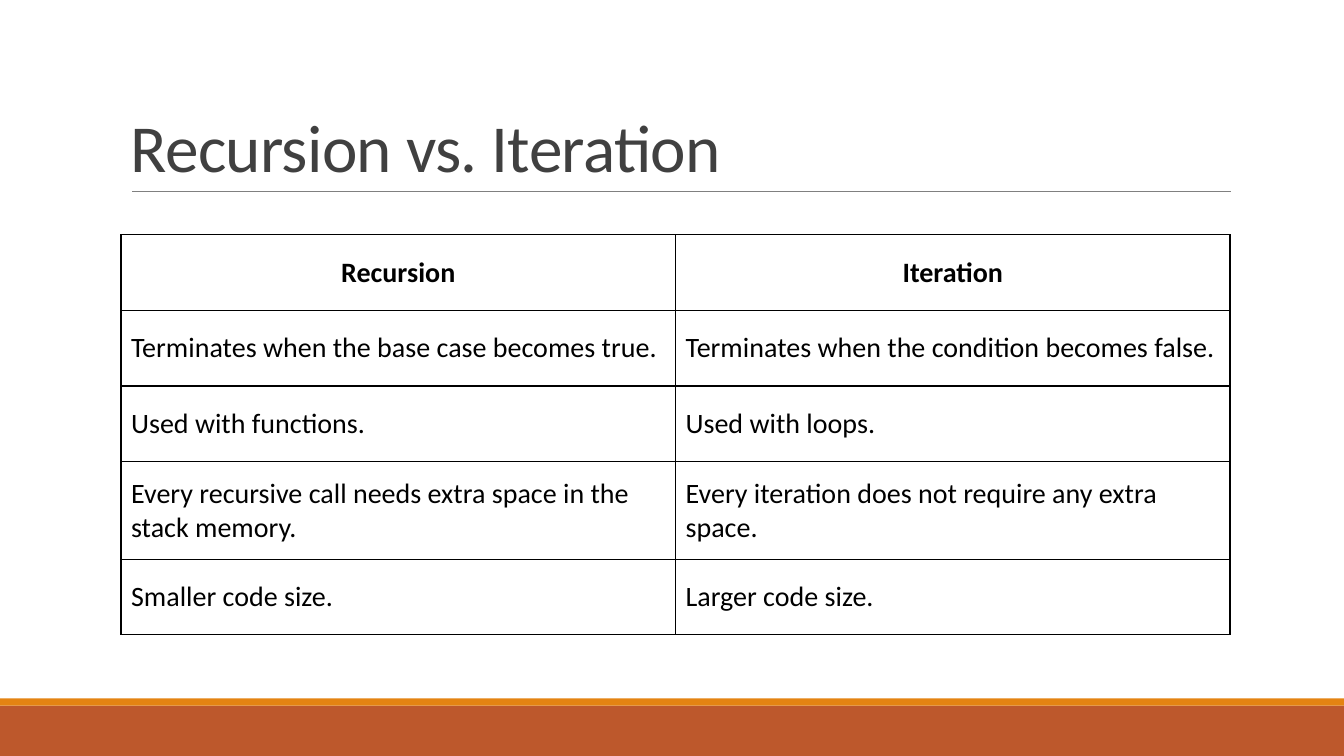
from lxml.etree import SubElement
from pptx import Presentation
from pptx.dml.color import RGBColor
from pptx.enum.shapes import MSO_CONNECTOR, MSO_SHAPE
from pptx.enum.text import MSO_ANCHOR as ANCHOR, PP_ALIGN as ALIGN
from pptx.oxml.ns import qn
from pptx.util import Inches, Pt

FONT = "Calibri"
ROWS = [
    ("Recursion", "Iteration"),
    ("Terminates when the base case becomes true.",
     "Terminates when the condition becomes false."),
    ("Used with functions.", "Used with loops."),
    ("Every recursive call needs extra space in the stack memory.",
     "Every iteration does not require any extra space."),
    ("Smaller code size.", "Larger code size."),
]
ROW_HEIGHTS = [0.75, 0.75, 0.75, 0.89, 0.75]


def rgb(color):
    return RGBColor.from_string(color)


def set_font(p, size, color, bold=False):
    p.font.name = FONT
    p.font.size = Pt(size)
    p.font.bold = bold
    p.font.color.rgb = rgb(color)


def add_band(s, top, height, color):
    sp = s.shapes.add_shape(MSO_SHAPE.RECTANGLE, 0, Inches(top),
                            Inches(13.33), Inches(height))
    sp.shadow.inherit = False
    sp.fill.solid()
    sp.fill.fore_color.rgb = rgb(color)
    sp.line.fill.background()


def add_rule(s, left, right, y, color, width):
    line = s.shapes.add_connector(MSO_CONNECTOR.STRAIGHT, Inches(left), Inches(y),
                                  Inches(right), Inches(y))
    line.line.color.rgb = rgb(color)
    line.line.width = Pt(width)
    SubElement(line._element.spPr, qn("a:effectLst"))


def add_title(s, text):
    sp = s.shapes.add_textbox(Inches(1.2), Inches(0.31), Inches(11), Inches(1.59))
    tf = sp.text_frame
    tf.word_wrap = True
    tf.vertical_anchor = ANCHOR.BOTTOM
    p = tf.paragraphs[0]
    p.line_spacing = 0.85
    r = p.add_run()
    r.text = text
    set_font(p, 48, "404040")
    r._r.get_or_add_rPr().set("spc", "-50")


def set_borders(cell, color, width):
    tcPr = cell._tc.get_or_add_tcPr()
    for side in ("lnL", "lnR", "lnT", "lnB"):
        ln = SubElement(tcPr, qn(f"a:{side}"), w=str(Pt(width)))
        fill = SubElement(ln, qn("a:solidFill"))
        SubElement(fill, qn("a:srgbClr"), val=color)


def fill_cell(cell, text, header):
    cell.margin_left = cell.margin_right = Inches(0.1)
    cell.margin_top = cell.margin_bottom = Inches(0.15)
    cell.vertical_anchor = ANCHOR.MIDDLE
    set_borders(cell, "000000", 1)
    cell.fill.background()
    cell.text = text
    p = cell.text_frame.paragraphs[0]
    p.alignment = ALIGN.CENTER if header else ALIGN.LEFT
    set_font(p, 20, "000000", header)


def add_comparison(s):
    table = s.shapes.add_table(len(ROWS), 2, Inches(1.2), Inches(2.33),
                               Inches(11), Inches(sum(ROW_HEIGHTS))).table
    for i, (texts, height) in enumerate(zip(ROWS, ROW_HEIGHTS)):
        table.rows[i].height = Inches(height)
        for j, text in enumerate(texts):
            fill_cell(table.cell(i, j), text, i == 0)


def main():
    prs = Presentation()
    prs.slide_width = Inches(13.33)
    prs.slide_height = Inches(7.5)
    s = prs.slides.add_slide(prs.slide_layouts[6])
    add_band(s, 7, 0.5, "BD582C")
    add_band(s, 6.93, 0.07, "E48312")
    add_rule(s, 1.31, 12.21, 1.9, "808080", 0.5)
    add_title(s, "Recursion vs. Iteration")
    add_comparison(s)
    prs.save("out.pptx")


if __name__ == "__main__":
    main()
